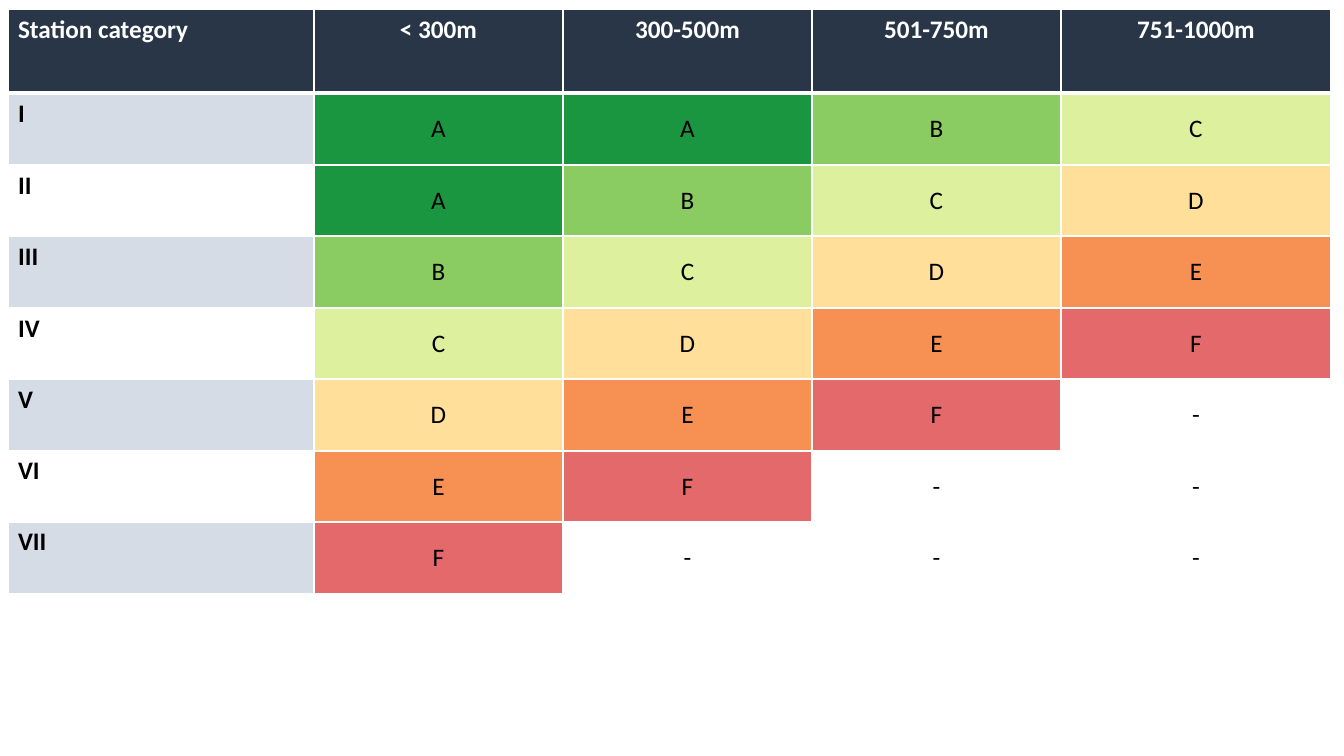
from lxml import etree
from pptx import Presentation, util as u
from pptx.dml.color import RGBColor
from pptx.enum import text
from pptx.oxml.ns import qn

PX = u.Inches(1) / 100.8
HEADER, BAND, WHITE, BLACK = "283647", "D6DCE5", "FFFFFF", "000000"
GRADE_FILLS = {"A": "1A9641", "B": "8ACC62", "C": "DCF09E", "D": "FFDF9A",
               "E": "F69053", "F": "D7191C", "-": WHITE}
GRADE_ALPHA = {"F": 65}
GRADES = "AABCDEF---"  # each step down or right moves one grade along
DISTANCES = ["< 300m", "300-500m", "501-750m", "751-1000m"]
CATEGORIES = ["I", "II", "III", "IV", "V", "VI", "VII"]
COL_WIDTHS = [306, 249, 249, 249, 270]
HEADER_HEIGHT, BODY_HEIGHT = 84, 501


def px(n):
    return u.Emu(round(n * PX))


def rgb(value):
    return RGBColor.from_string(value)


class Deck:
    font = {"name": "Calibri", "size": u.Pt(18)}

    def __init__(self, width, height):
        self.prs = Presentation()
        self.prs.slide_width, self.prs.slide_height = px(width), px(height)
        self.s = self.prs.slides.add_slide(self.prs.slide_layouts[6])

    def table(self, x, y, widths, heights):
        tbl = self.s.shapes.add_table(len(heights), len(widths), px(x), px(y),
                                      px(sum(widths)), px(sum(heights))).table
        tbl.first_row = tbl.horz_banding = False
        for col, width in zip(tbl.columns, widths):
            col.width = px(width)
        for row, height in zip(tbl.rows, heights):
            row.height = px(height)
        return tbl

    def cell(self, cell, label, fill, color=BLACK, bold=False, center=True,
             middle=False, alpha=None, top=1, bottom=1):
        """Fill one cell; alpha is a percentage, top and bottom are border points."""
        cell.fill.solid()
        cell.fill.fore_color.rgb = rgb(fill)
        tcPr = cell._tc.get_or_add_tcPr()
        if alpha:
            clr = next(tcPr.iter(qn("a:srgbClr")))
            etree.SubElement(clr, qn("a:alpha"), val=str(alpha * 1000))
        borders = {"lnL": 1, "lnR": 1, "lnT": top, "lnB": bottom}
        for i, (tag, width) in enumerate(borders.items()):
            ln = etree.Element(qn("a:" + tag), w=str(u.Pt(width)))
            solid = etree.SubElement(ln, qn("a:solidFill"))
            etree.SubElement(solid, qn("a:srgbClr"), val=WHITE)
            tcPr.insert(i, ln)
        anchor = text.MSO_ANCHOR
        cell.vertical_anchor = anchor.MIDDLE if middle else anchor.TOP
        p = cell.text_frame.paragraphs[0]
        p.alignment = text.PP_ALIGN.CENTER if center else text.PP_ALIGN.LEFT
        r = p.add_run()
        r.text = label
        for key, value in {**self.font, "bold": bold}.items():
            setattr(r.font, key, value)
        r.font.color.rgb = rgb(color)


def main():
    deck = Deck(1344, 756)
    count = len(CATEGORIES)
    edges = [round(i * BODY_HEIGHT / count) for i in range(count + 1)]
    heights = [b - a for a, b in zip(edges, edges[1:])]
    tbl = deck.table(8, 9, COL_WIDTHS, [HEADER_HEIGHT, *heights])

    for col, label in enumerate(["Station category", *DISTANCES]):
        deck.cell(tbl.cell(0, col), label, HEADER, WHITE, bold=True,
                  center=col > 0, bottom=3)
    for row, category in enumerate(CATEGORIES):
        top = 1 if row else 3
        deck.cell(tbl.cell(row + 1, 0), category, WHITE if row % 2 else BAND,
                  bold=True, center=False, top=top)
        for col in range(len(DISTANCES)):
            grade = GRADES[row + col]
            deck.cell(tbl.cell(row + 1, col + 1), grade, GRADE_FILLS[grade],
                      middle=True, alpha=GRADE_ALPHA.get(grade), top=top)
    deck.prs.save("out.pptx")


if __name__ == "__main__":
    main()
